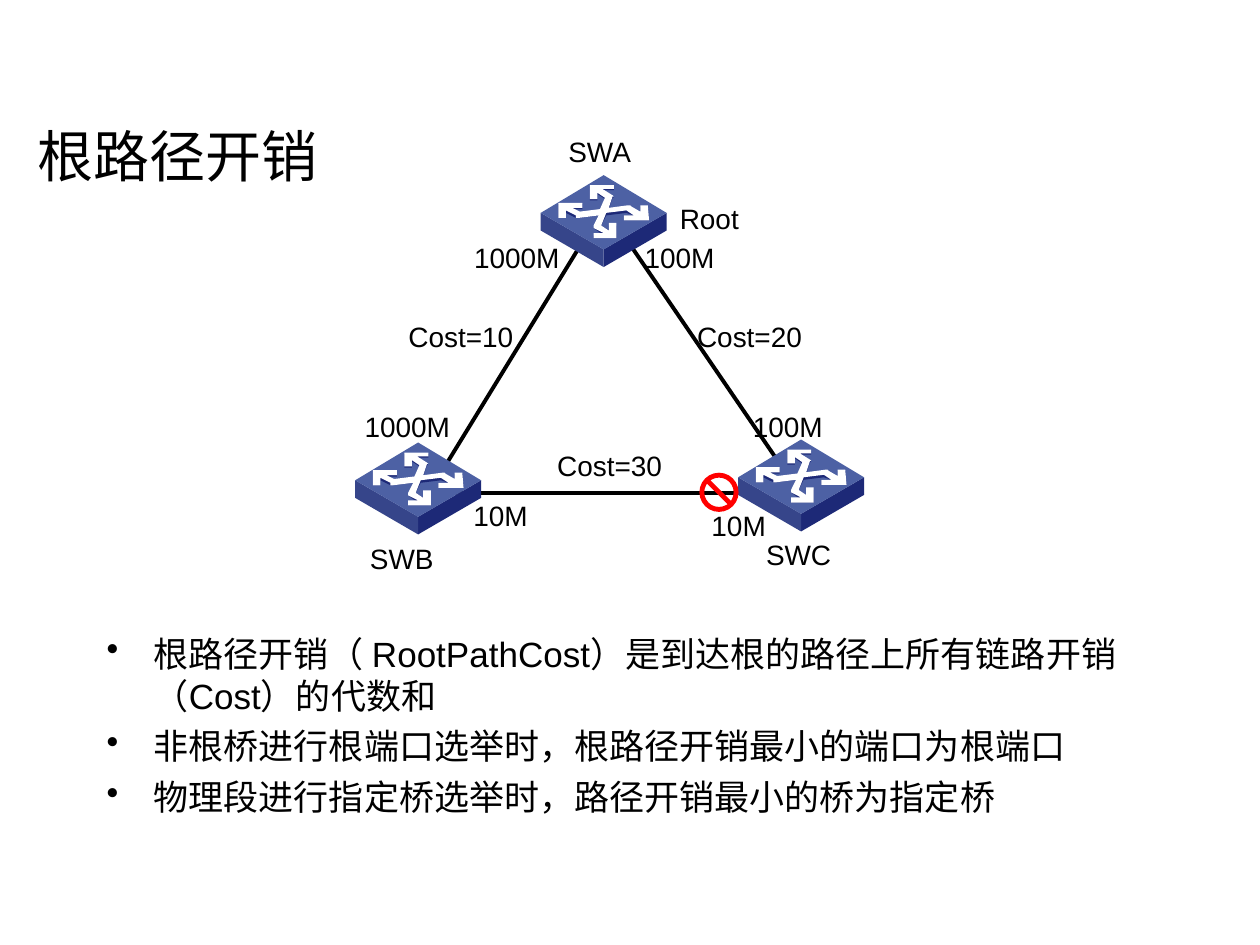
from pptx import Presentation, util as u
from pptx.dml import color
from pptx.enum import shapes, text
from pptx.oxml import xmlchemy

FONT = "Arial"
BLACK, WHITE, RED = "000000", "FFFFFF", "FF0000"
NAVY, INDIGO, BLUE = "1D2977", "36458A", "4D61A4"
SWITCH_WIDTH = 2.54
LABEL_HEIGHT = 0.94

RIGHT_SIDE = [(100, 30), (100, 44), (50, 73), (50, 59)]
LEFT_SIDE = [(50, 59), (50, 73), (0, 44), (0, 30)]
TOP_SIDE = [(100, 30), (50, 59), (0, 30), (50, 0)]
HALF_ARROWS = [
    (85, 24), (79, 24), (79, 29), (72, 25), (71, 24), (69, 24), (54, 26), (57, 17),
    (58, 17), (57, 16), (49, 11), (58, 11), (58, 8), (39, 8), (39, 19), (45, 19),
    (45, 14), (51, 18), (47, 27), (31, 29), (25, 26), (33, 26), (33, 22), (14, 22),
]
ARROWS = HALF_ARROWS + [(99.5 - x, 57.5 - y) for x, y in HALF_ARROWS]
ARROW_SHADE = [(x, y + 1) for x, y in ARROWS]

SWITCHES = [(0.86, 6.33), (8.58, 6.27), (4.6, 0.94)]
LINKS = [
    ((2.59, 6.94), (5.41, 2.34)),
    ((2.79, 7.34), (8.99, 7.34)),
    ((6.4, 2.34), (9.4, 6.73)),
]
LABELS = [
    ("SWA", 3.99, 0, 3.6),
    ("SWB", 0, 8.2, 3.6),
    ("SWC", 8, 8.13, 3.6),
    ("Root", 6.2, 1.35, 3.6),
    ("1000M", 2.62, 2.13, 3),
    ("100M", 6.4, 2.13, 2),
    ("1000M", 0.61, 5.54, 2.6),
    ("10M", 2.79, 7.34, 2),
    ("100M", 8.58, 5.54, 2),
    ("10M", 7.59, 7.54, 2),
    ("Cost=10", 1.19, 3.73, 3.6),
    ("Cost=20", 7.01, 3.73, 3.6),
    ("Cost=30", 4.19, 6.33, 3.6),
]
POINTS = [
    "根路径开销（ RootPathCost）是到达根的路径上所有链路开销（Cost）的代数和",
    "非根桥进行根端口选举时，根路径开销最小的端口为根端口",
    "物理段进行指定桥选举时，路径开销最小的桥为指定桥",
]


def rgb(value):
    return color.RGBColor.from_string(value)


def write(para, words, size=16, align=text.PP_ALIGN.LEFT, before=0):
    para.alignment = align
    para.space_before = u.Pt(before)
    span = para.add_run()
    span.text = words
    span.font.name = FONT
    span.font.size = u.Pt(size)
    span.font.color.rgb = rgb(BLACK)


def paint(shape, fill):
    shape.shadow.inherit = False
    shape.fill.solid()
    shape.fill.fore_color.rgb = rgb(fill)
    shape.line.fill.background()


def add_text_box(page, left, top, width, height):
    box = page.shapes.add_textbox(u.Cm(left), u.Cm(top), u.Cm(width), u.Cm(height))
    box.text_frame.word_wrap = True
    return box.text_frame


def add_bullet(para, indent):
    props = para._p.get_or_add_pPr()
    props.set("marL", str(u.Cm(indent)))
    props.set("indent", str(-u.Cm(indent)))
    bullet = xmlchemy.OxmlElement("a:buChar")
    bullet.set("char", "•")
    props.append(bullet)


def add_link(page, start, end):
    ends = [u.Cm(value) for value in (*start, *end)]
    link = page.shapes.add_connector(shapes.MSO_CONNECTOR.STRAIGHT, *ends)
    link.line.color.rgb = rgb(BLACK)
    link.line.width = u.Pt(2.25)
    link._element.spPr.append(xmlchemy.OxmlElement("a:effectLst"))


def add_switch(page, left, top, width):
    group = page.shapes.add_group_shape()
    faces = [
        (RIGHT_SIDE, NAVY), (LEFT_SIDE, INDIGO), (TOP_SIDE, BLUE),
        (ARROW_SHADE, NAVY), (ARROWS, WHITE),
    ]
    for outline, fill in faces:
        builder = group.shapes.build_freeform(*outline[0], scale=u.Cm(width / 100))
        builder.add_line_segments(outline[1:], close=True)
        paint(builder.convert_to_shape(u.Cm(left), u.Cm(top)), fill)


def add_title(page, left, top, width, height):
    title = page.shapes.title
    title.left, title.top = u.Cm(left), u.Cm(top)
    title.width, title.height = u.Cm(width), u.Cm(height)
    frame = title.text_frame
    frame.auto_size = text.MSO_AUTO_SIZE.NONE
    frame.vertical_anchor = text.MSO_ANCHOR.MIDDLE
    write(frame.paragraphs[0], "根路径开销", size=32)


def add_network(page, left, top):
    for start, end in LINKS:
        add_link(page, (left + start[0], top + start[1]), (left + end[0], top + end[1]))
    for x, y in SWITCHES:
        add_switch(page, left + x, top + y, SWITCH_WIDTH)
    blocked = page.shapes.add_shape(
        shapes.MSO_SHAPE.NO_SYMBOL,
        u.Cm(left + 7.8), u.Cm(top + 6.94), u.Cm(0.79), u.Cm(0.79),
    )
    blocked.adjustments[0] = 0.125
    paint(blocked, RED)
    for words, x, y, width in LABELS:
        frame = add_text_box(page, left + x, top + y, width, LABEL_HEIGHT)
        write(frame.paragraphs[0], words, align=text.PP_ALIGN.CENTER)


def add_points(page, left, top, width, height):
    frame = add_text_box(page, left, top, width, height)
    for index, words in enumerate(POINTS):
        para = frame.add_paragraph() if index else frame.paragraphs[0]
        write(para, words, size=20, before=5)
        add_bullet(para, 0.95)


def main():
    deck = Presentation()
    deck.slide_width, deck.slide_height = u.Cm(25.4), u.Cm(19.05)
    page = deck.slides.add_slide(deck.slide_layouts[5])
    add_title(page, 0.5, 2.52, 19.4, 1.22)
    add_network(page, 6.3, 2.59)
    add_points(page, 1.9, 12.62, 21.4, 4)
    deck.save("out.pptx")


if __name__ == "__main__":
    main()
